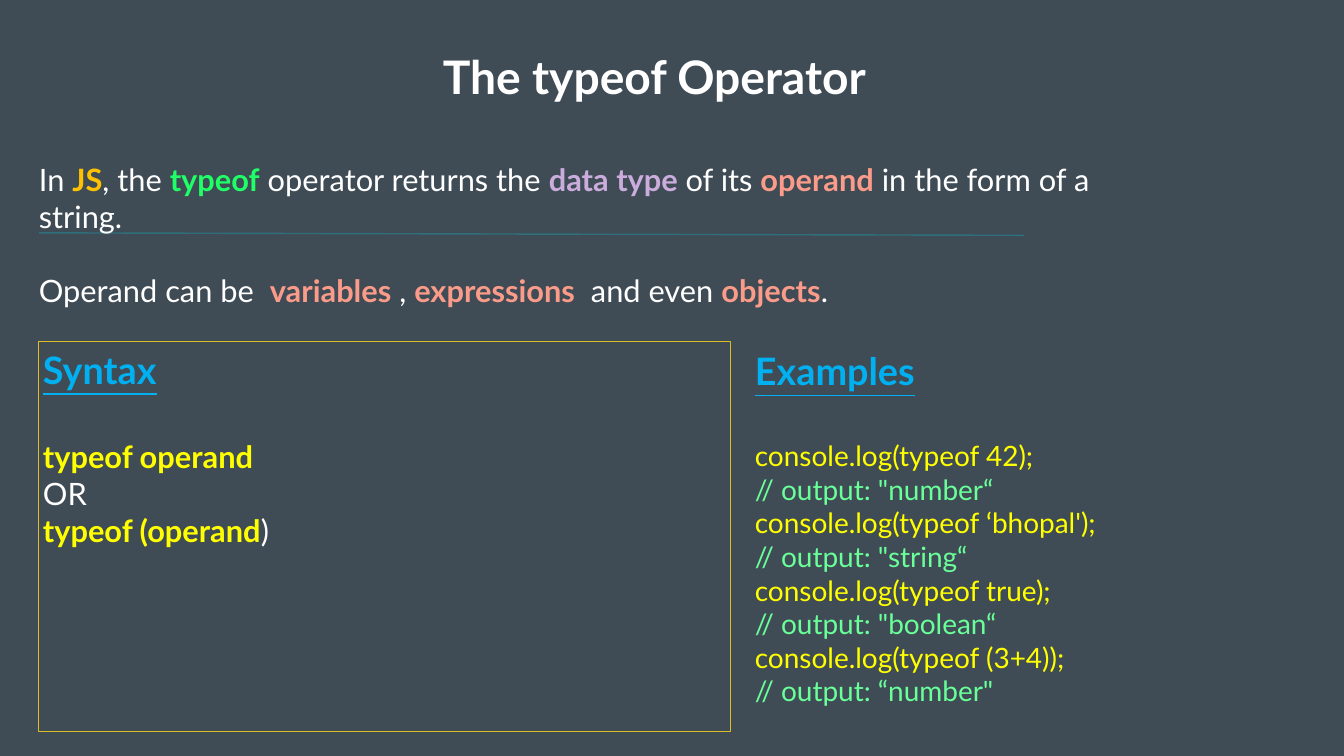
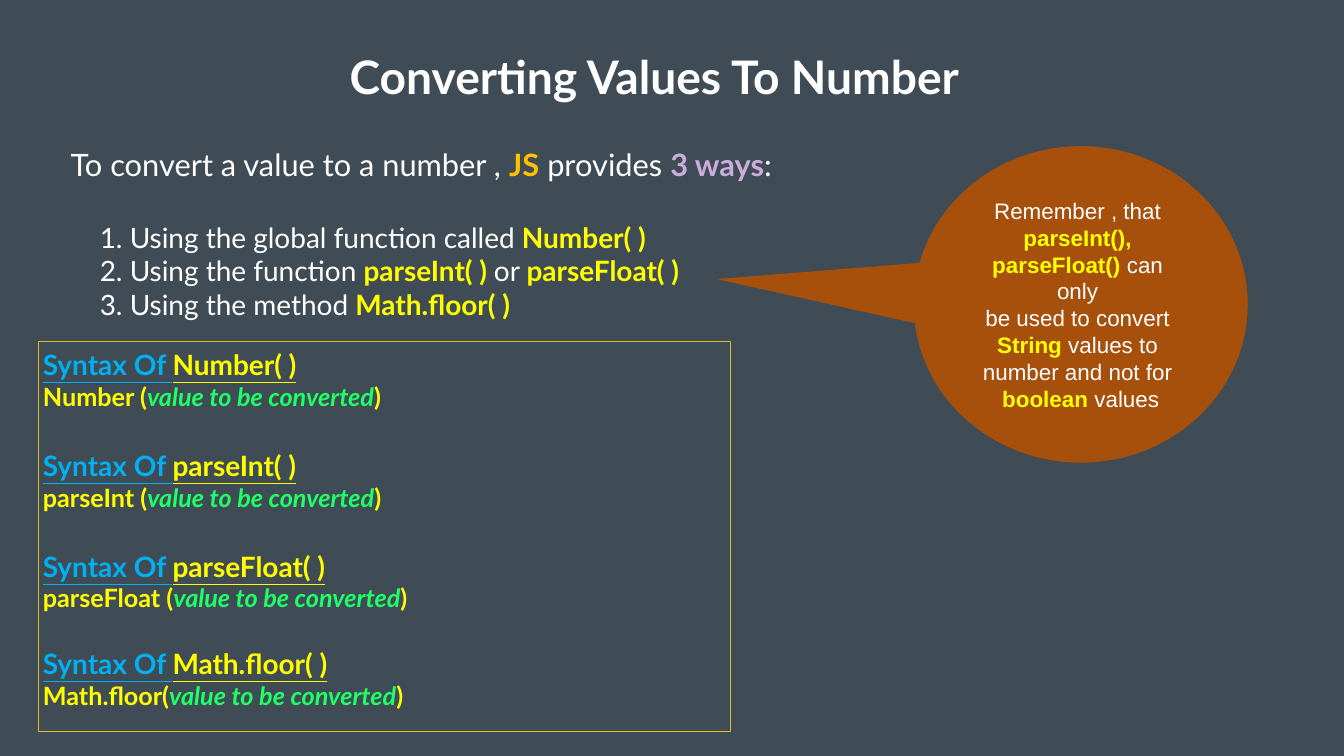
from dataclasses import dataclass

from lxml.etree import SubElement
from pptx import Presentation
from pptx.dml.color import RGBColor
from pptx.enum.shapes import MSO_CONNECTOR, MSO_SHAPE
from pptx.enum.text import MSO_ANCHOR, PP_ALIGN
from pptx.oxml.ns import qn
from pptx.util import Inches, Pt

WIDTH, HEIGHT = 26.67, 15
LINE_FACTOR = 1.2
SLATE, WHITE, GOLD, TEAL, RUST = "404C55", "FFFFFF", "DCBD23", "03CADF", "A6500C"
YELLOW, AMBER, GREEN, MINT = "FFFF00", "FFC000", "1FFF66", "69FF99"
LILAC, SALMON, BLUE = "CAACDD", "FB9B89", "00B0F0"


@dataclass
class Box:
    """An area in inches."""
    left: float
    top: float
    width: float
    height: float

    def area(self, left, top, width, height):
        """Return an inner area given in percent of this one."""
        return Box(self.left + self.width * left / 100,
                   self.top + self.height * top / 100,
                   self.width * width / 100, self.height * height / 100)

    def emu(self):
        """Return left, top, width and height as lengths."""
        return [Inches(n) for n in (self.left, self.top, self.width, self.height)]


@dataclass
class Line:
    """A paragraph: runs are (text, colour, marks), marks being letters of b, i and u."""
    size: int
    runs: list
    gap: int = 0
    indent: float = 0


def color(hex_code):
    """Turn a hex string into a colour."""
    return RGBColor.from_string(hex_code)


def plain(text):
    """Return a white regular run."""
    return text, WHITE, ""


def code(text):
    """Return a yellow bold run."""
    return text, YELLOW, "b"


def write(frame, lines, font="Lato", align=PP_ALIGN.LEFT, anchor=MSO_ANCHOR.MIDDLE, inset=0.08):
    """Fill a text frame with lines; a gap is the size of the line left free above."""
    frame.word_wrap = True
    frame.vertical_anchor = anchor
    frame.margin_left = frame.margin_right = Inches(inset)
    frame.margin_top = frame.margin_bottom = Inches(inset)
    for index, line in enumerate(lines):
        paragraph = frame.paragraphs[0] if index == 0 else frame.add_paragraph()
        paragraph.alignment = align
        if line.gap:
            paragraph.space_before = Pt(line.gap * LINE_FACTOR)
        if line.indent:
            paragraph._p.get_or_add_pPr().set("marL", str(Inches(line.indent)))
        paragraph.font.name = font
        paragraph.font.size = Pt(line.size)
        for text, hex_code, marks in line.runs:
            run = paragraph.add_run()
            run.text = text
            run.font.color.rgb = color(hex_code)
            run.font.bold = "b" in marks
            run.font.italic = "i" in marks
            run.font.underline = "u" in marks


def text_block(slide, box, lines, **style):
    """Place lines of text in a box."""
    write(slide.shapes.add_textbox(*box.emu()).text_frame, lines, **style)


def title(slide, page, text):
    """Place the centred slide title."""
    text_block(slide, page.area(2.89, 5.87, 91.6, 8.47),
               [Line(66, [(text, WHITE, "b")])], align=PP_ALIGN.CENTER)


def intro(slide, box, lines):
    """Place the introduction, which starts at the top of its box."""
    text_block(slide, box, lines, anchor=MSO_ANCHOR.TOP, inset=0)


def syntax_panel(slide, page, text_share, lines):
    """Place the outlined syntax panel; the text takes a share of its height."""
    panel = page.area(2.89, 45.2, 51.48, 51.53)
    text_block(slide, panel.area(0, 0, 74.15, text_share), lines)
    outline = slide.shapes.add_shape(MSO_SHAPE.RECTANGLE, *panel.emu())
    outline.shadow.inherit = False
    outline.fill.background()
    outline.line.color.rgb = color(GOLD)
    outline.line.width = Pt(1)


def divider(slide, page):
    """Draw the faint teal rule under the definition."""
    left, top, width, height = page.area(2.89, 30.8, 73.3, 0.33).emu()
    rule = slide.shapes.add_connector(MSO_CONNECTOR.STRAIGHT, left, top, left + width, top + height)
    rule.line.color.rgb = color(TEAL)
    rule.line.width = Pt(2)
    properties = rule._element.spPr
    SubElement(next(properties.iter(qn("a:srgbClr"))), qn("a:alpha"), val="27000")
    SubElement(properties, qn("a:effectLst"))


def reminder(slide, box, lines):
    """Draw the speech bubble that points left at the list."""
    bubble = slide.shapes.add_shape(MSO_SHAPE.OVAL_CALLOUT, *box.emu())
    bubble.adjustments[0], bubble.adjustments[1] = -1.09, -0.08
    bubble.shadow.inherit = False
    bubble.fill.solid()
    bubble.fill.fore_color.rgb = color(RUST)
    bubble.line.fill.background()
    write(bubble.text_frame, [Line(32, runs) for runs in lines], font="Arial", align=PP_ALIGN.CENTER)


def typeof_slide(slide, page):
    """Build the slide on the typeof operator."""
    title(slide, page, "The typeof Operator")
    syntax_panel(slide, page, 54.34, [
        Line(54, [("Syntax", BLUE, "bu")]),
        Line(44, [code("typeof operand")], gap=54),
        Line(44, [plain("OR")]),
        Line(44, [code("typeof (operand"), plain(")")]),
    ])
    divider(slide, page)
    intro(slide, page.area(2.89, 21.27, 81.85, 19.73), [
        Line(44, [plain("In "), ("JS", AMBER, "b"), plain(", the "), ("typeof", GREEN, "b"),
                  plain(" operator returns the "), ("data type ", LILAC, "b"), plain("of its "),
                  ("operand", SALMON, "b"), plain(" in the form of a string.")]),
        Line(44, [plain("Operand can be  "), ("variables", SALMON, "b"), plain(" , "),
                  ("expressions", SALMON, "b"), plain("  and even "),
                  ("objects", SALMON, "b"), plain(".")], gap=44),
    ])
    examples = [
        ("console.log(typeof 42);", "// output: \"number“"),
        ("console.log(typeof ‘bhopal');", "// output: \"string“"),
        ("console.log(typeof true);", "// output: \"boolean“"),
        ("console.log(typeof (3+4));", "// output: “number\""),
    ]
    lines = [Line(54, [("Examples", BLUE, "bu")])]
    for call, output in examples:
        lines += [Line(40, [(call, YELLOW, "")]), Line(40, [(output, MINT, "")])]
    lines[1].gap = 54
    text_block(slide, page.area(55.87, 45.5, 42.78, 51.2), lines, anchor=MSO_ANCHOR.TOP)


def conversion_slide(slide, page):
    """Build the slide on converting values to numbers."""
    title(slide, page, "Converting Values To Number")
    ways = [
        [plain("1. Using the global function called "), code("Number( )")],
        [plain("2. Using the function "), code("parseInt( ) "), plain("or "), code("parseFloat( )")],
        [plain("3. Using the method "), code("Math.floor( )")],
    ]
    lines = [Line(44, [plain("To convert a value to a number , "), ("JS", AMBER, "b"),
                       plain(" provides "), ("3 ways", LILAC, "b"), plain(":")])]
    lines += [Line(40, runs, indent=0.58) for runs in ways]
    lines[1].gap = 44
    intro(slide, page.area(5.25, 19.33, 81.85, 33.67), lines)

    syntax = []
    for name, opening, gap in [("Number", " (", 0), ("parseInt", " (", 44),
                               ("parseFloat", " (", 44), ("Math.floor", "(", 40)]:
        syntax += [
            Line(40, [("Syntax Of ", BLUE, "bu"), (name + "( )", YELLOW, "bu")], gap=gap),
            Line(36, [code(name + opening), ("value to be converted", GREEN, "bi"), code(")")]),
        ]
    syntax_panel(slide, page, 96.12, syntax)
    reminder(slide, page.area(67.98, 19.33, 24.86, 41.87), [
        [plain("Remember , that ")],
        [code("parseInt(), ")],
        [code("parseFloat() "), plain("can ")],
        [plain("only ")],
        [plain("be used to convert ")],
        [code("String"), plain(" values to ")],
        [plain("number and not for ")],
        [code("boolean"), plain(" values")],
    ])


def main():
    """Build and save the presentation."""
    deck = Presentation()
    deck.slide_width, deck.slide_height = Inches(WIDTH), Inches(HEIGHT)
    for build in (typeof_slide, conversion_slide):
        slide = deck.slides.add_slide(deck.slide_layouts[6])
        slide.background.fill.solid()
        slide.background.fill.fore_color.rgb = color(SLATE)
        build(slide, Box(0, 0, WIDTH, HEIGHT))
    deck.save("out.pptx")


if __name__ == "__main__":
    main()
